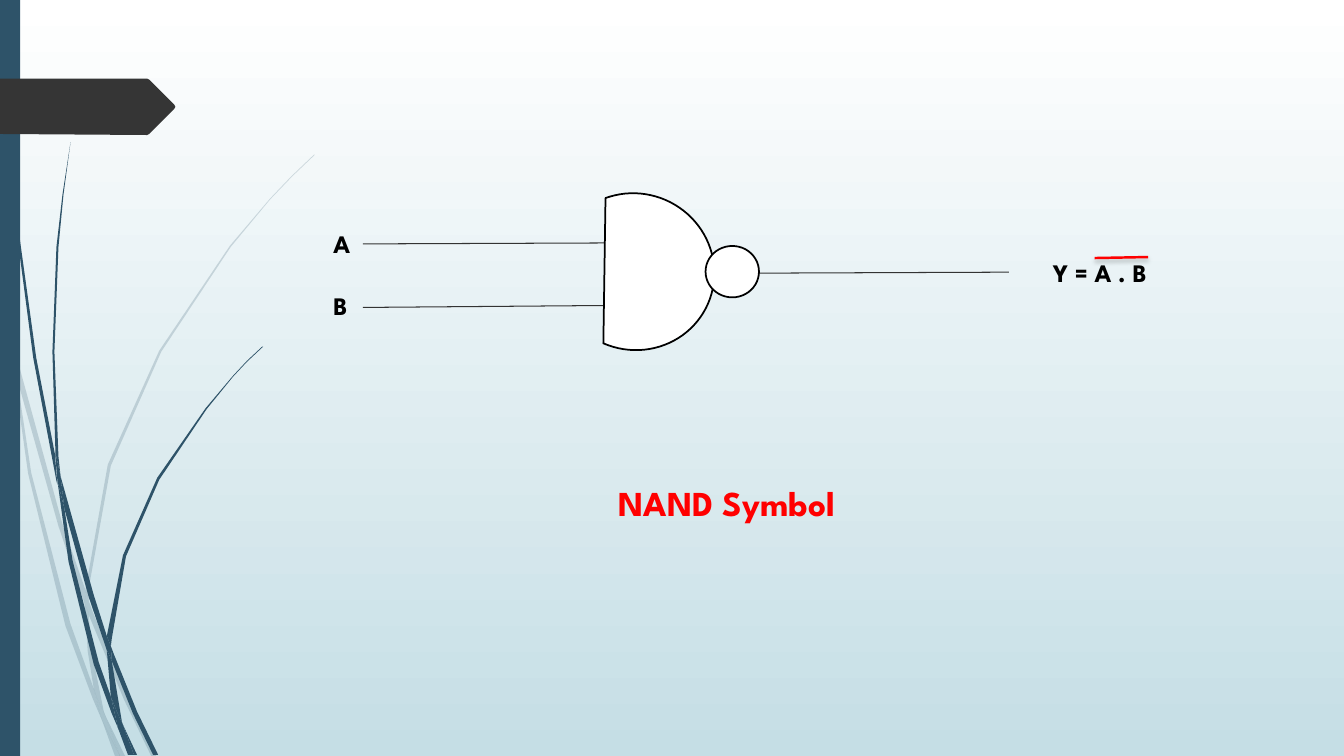
from lxml import etree
from pptx import Presentation
from pptx.dml.color import RGBColor
from pptx.enum import shapes, text
from pptx.oxml import ns
from pptx.util import Pt

COLORS = {
    "blade": "2E5369", "marker": "353535", "wire": "333333", "black": "000000",
    "white": "FFFFFF", "red": "FF0000", "sky": "FFFFFF", "water": "C5DEE5",
}
FONT = "League Spartan"
HUNDREDTH_INCH = Pt(0.72)

PALE_BLADES = [
    [(11, 350), (9, 322), (0, 282), (0, 299), (10, 344)],
    [(58, 522), (84, 599), (85, 586), (62, 520), (14, 345), (17, 376)],
    [(92, 607), (88, 596), (88, 610), (123, 694), (150, 750), (155, 750), (127, 692)],
    [(119, 750), (124, 750), (105, 711)],
    [(93, 683), (70, 619), (31, 469), (17, 376), (11, 350), (28, 470), (65, 621),
     (92, 693), (101, 714), (99, 707)],
    [(84, 599), (87, 646), (93, 683), (96, 692), (105, 711), (103, 706), (91, 646),
     (88, 610), (88, 608)],
    [(88, 584), (110, 462), (160, 349), (229, 245), (268, 198), (290, 175), (312, 154),
     (312, 153), (289, 175), (268, 197), (228, 244), (158, 348), (107, 461), (85, 584),
     (85, 586), (88, 596)],
    [(101, 714), (114, 750), (119, 750)],
    [(88, 608), (88, 610), (88, 596), (85, 586), (84, 599)],
    [(96, 692), (93, 683), (99, 707), (101, 714), (119, 750), (105, 711)],
]
DARK_BLADES = [
    [(7, 110), (17, 233), (33, 355), (56, 477), (57, 481), (55, 457), (55, 453),
     (36, 355), (19, 232), (8, 109), (5, 48), (4, 0), (3, 0), (4, 48)],
    [(88, 592), (106, 645), (106, 633), (106, 631), (93, 590), (60, 472), (64, 505)],
    [(113, 649), (110, 641), (111, 656), (132, 708), (152, 749), (157, 749), (136, 706)],
    [(110, 691), (98, 657), (72, 556), (64, 505), (57, 477), (68, 557), (93, 659),
     (111, 708), (117, 722), (116, 717)],
    [(60, 472), (58, 453), (54, 349), (58, 245), (63, 193), (70, 141), (62, 193),
     (56, 245), (52, 349), (55, 449)],
    [(133, 749), (136, 749), (122, 719)],
    [(57, 477), (64, 505), (60, 472), (55, 449), (55, 453)],
    [(111, 633), (125, 552), (158, 476), (205, 406), (231, 374), (245, 359), (261, 344),
     (260, 344), (245, 358), (231, 373), (204, 405), (156, 474), (122, 551), (106, 631),
     (110, 641)],
    [(117, 722), (127, 749), (131, 749)],
    [(106, 645), (110, 691), (116, 706), (122, 719), (121, 716), (111, 656), (109, 651)],
    [(106, 645), (109, 651), (111, 656), (110, 641), (106, 631), (106, 633)],
    [(116, 706), (110, 691), (116, 717), (117, 722), (130, 749), (133, 749), (122, 719)],
]
MARKER = [(0, 78), (146, 78), (148, 79), (173, 104), (174, 106), (173, 108),
          (148, 133), (146, 134), (0, 133)]


def rgb(name):
    return RGBColor.from_string(COLORS[name])


def paint(shape, fill, outline=None):
    shape.shadow.inherit = False
    shape.fill.solid()
    shape.fill.fore_color.rgb = rgb(fill)
    if outline:
        shape.line.color.rgb = rgb(outline)
        shape.line.width = Pt(1.25)
    else:
        shape.line.fill.background()


def add_outline(container, points, fill, opacity=None):
    builder = container.build_freeform(*points[0], scale=HUNDREDTH_INCH)
    builder.add_line_segments(points[1:], close=True)
    shape = builder.convert_to_shape()
    paint(shape, fill)
    if opacity:
        color = next(shape._element.spPr.iter(ns.qn("a:srgbClr")))
        etree.SubElement(color, ns.qn("a:alpha"), val=str(opacity * 1000))


def add_blades(page, blades, opacity=None):
    group = page.shapes.add_group_shape()
    for points in blades:
        add_outline(group.shapes, points, "blade", opacity)


def add_preset(page, kind, place, fill, outline=None, rotation=0):
    shape = page.shapes.add_shape(kind, *map(Pt, place))
    shape.rotation = rotation
    paint(shape, fill, outline)


def add_line(page, ends, color, width):
    line = page.shapes.add_connector(shapes.MSO_CONNECTOR.STRAIGHT, *map(Pt, ends))
    line.line.color.rgb = rgb(color)
    line.line.width = Pt(width)
    return etree.SubElement(line._element.spPr, ns.qn("a:effectLst"))


def add_overline(page, ends):
    effects = add_line(page, ends, "red", 1.75)
    shadow = etree.SubElement(effects, ns.qn("a:outerShdw"), blurRad=str(Pt(3)),
                              dist=str(Pt(2)), dir="5400000", rotWithShape="0")
    color = etree.SubElement(shadow, ns.qn("a:srgbClr"), val=COLORS["black"])
    etree.SubElement(color, ns.qn("a:alpha"), val="25000")


def add_label(page, wording, place, size=18, color="black"):
    box = page.shapes.add_textbox(*map(Pt, place))
    frame = box.text_frame
    frame.text = wording
    frame.word_wrap = False
    frame.auto_size = text.MSO_AUTO_SIZE.SHAPE_TO_FIT_TEXT
    font = frame.paragraphs[0].runs[0].font
    font.name = FONT
    font.size = Pt(size)
    font.bold = True
    font.color.rgb = rgb(color)


def add_background(page):
    fill = page.background.fill
    fill.gradient()
    fill.gradient_angle = 270
    for stop, position, name in zip(fill.gradient_stops, (0, 1), ("sky", "water")):
        stop.position = position
        stop.color.rgb = rgb(name)


def main():
    deck = Presentation()
    deck.slide_width, deck.slide_height = Pt(960), Pt(540)
    page = deck.slides.add_slide(deck.slide_layouts[6])

    add_background(page)
    add_blades(page, PALE_BLADES, opacity=20)
    add_blades(page, DARK_BLADES)
    add_preset(page, shapes.MSO_SHAPE.RECTANGLE, (0, 0, 14.4, 540), "blade")
    add_outline(page.shapes, MARKER, "marker")

    for wire in ((259.2, 174.24, 439.92, 173.52),
                 (259.2, 219.6, 439.92, 218.16),
                 (540, 195.12, 720.72, 194.4)):
        add_line(page, wire, "wire", 0.75)

    add_label(page, "A", (231.12, 159.84, 28.08, 28.8))
    add_label(page, "B", (231.12, 203.76, 25.2, 28.8))
    add_label(page, "Y = A . B", (745.2, 180, 85.68, 28.8))
    add_label(page, "NAND Symbol", (434.88, 340.56, 185.76, 37.44), 25, "red")

    add_preset(page, shapes.MSO_SHAPE.CHORD, (396, 138.24, 114.48, 111.6),
               "white", "black", rotation=203.5)
    add_preset(page, shapes.MSO_SHAPE.OVAL, (504, 175.68, 38.16, 36.72), "white", "black")
    add_overline(page, (781.92, 184.32, 820.08, 183.6))

    deck.save("out.pptx")


if __name__ == "__main__":
    main()
